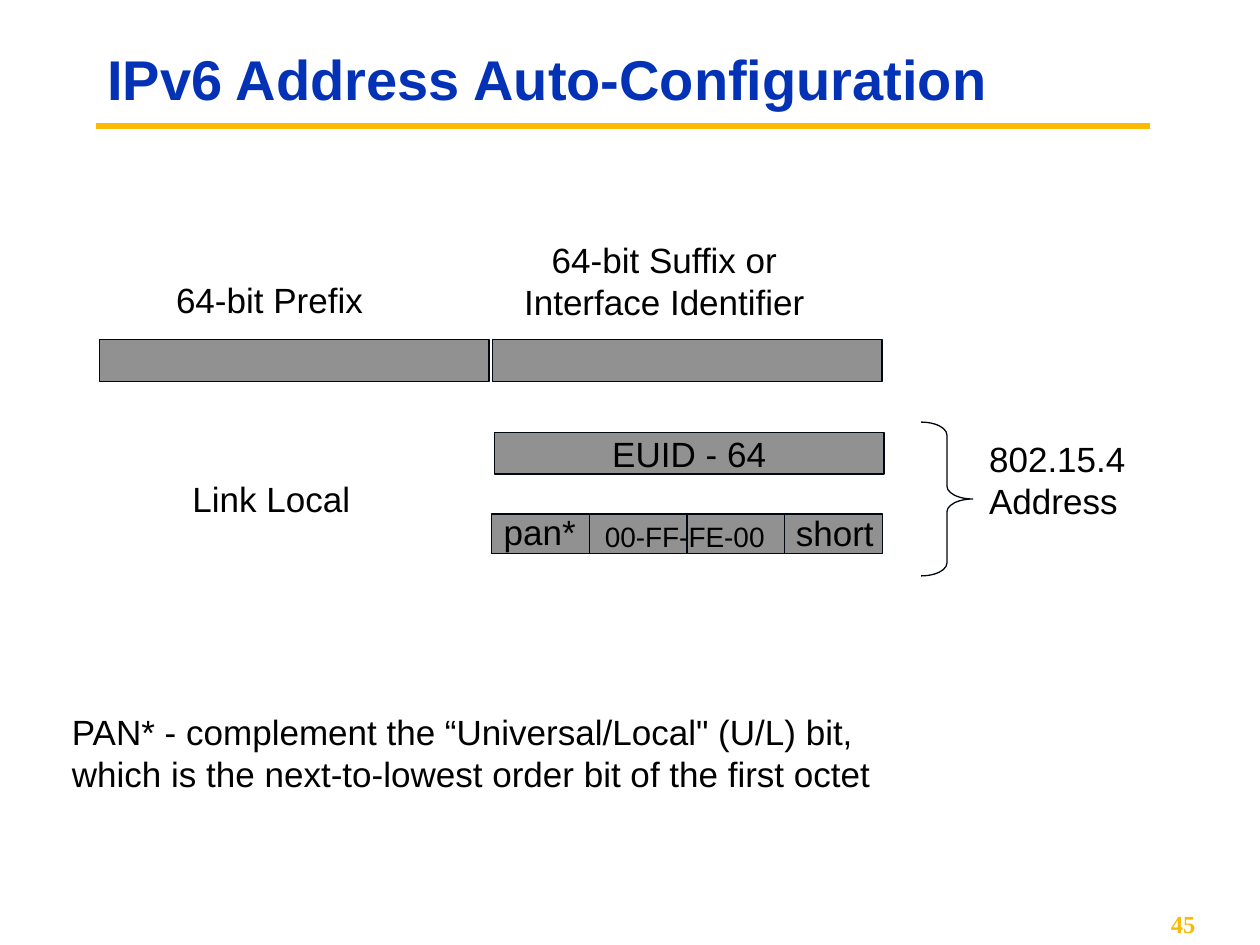
import dataclasses

import lxml.etree
import pptx
import pptx.dml.color
import pptx.enum.shapes
import pptx.enum.text
import pptx.oxml.ns
import pptx.util

Cm = pptx.util.Cm
Align = pptx.enum.text.PP_ALIGN
Anchor = pptx.enum.text.MSO_ANCHOR
AutoSize = pptx.enum.text.MSO_AUTO_SIZE
Shape = pptx.enum.shapes.MSO_SHAPE

BLACK, INK, GREY, BLUE, GOLD = "000000", "000710", "919191", "0332B7", "FBBA03"


@dataclasses.dataclass
class Box:
    """Place of an element, in centimetres."""
    left: float
    top: float
    width: float
    height: float

    def lengths(self) -> list:
        return [Cm(value) for value in (self.left, self.top, self.width, self.height)]


@dataclasses.dataclass
class Label:
    box: Box
    lines: list[str]
    align: Align = Align.CENTER
    size: int = 20


def set_color(color_format, value: str) -> None:
    color_format.rgb = pptx.dml.color.RGBColor.from_string(value)


def write_lines(frame, lines: list[str], align: Align, size: float = 20,
                name: str = "Arial", color: str = BLACK, bold: bool = False) -> None:
    font_format = {"name": name, "size": pptx.util.Pt(size), "bold": bold}
    for index, line in enumerate(lines):
        paragraph = frame.add_paragraph() if index else frame.paragraphs[0]
        paragraph.alignment = align
        run = paragraph.add_run()
        run.text = line
        for attribute, value in font_format.items():
            setattr(run.font, attribute, value)
        set_color(run.font.color, color)


def outline(shape) -> None:
    shape.shadow.inherit = False
    shape.line.width = pptx.util.Pt(0.75)
    set_color(shape.line.color, INK)


def add_bar(slide, box: Box):
    bar = slide.shapes.add_shape(Shape.RECTANGLE, *box.lengths())
    outline(bar)
    bar.fill.solid()
    set_color(bar.fill.fore_color, GREY)
    return bar


def add_label(slide, label: Label) -> None:
    frame = slide.shapes.add_textbox(*label.box.lengths()).text_frame
    frame.word_wrap = False
    frame.auto_size = AutoSize.SHAPE_TO_FIT_TEXT
    write_lines(frame, label.lines, label.align, label.size)


def add_title(slide, text: str, box: Box) -> None:
    title = slide.shapes.title
    for side, value in zip(("left", "top", "width", "height"), box.lengths()):
        setattr(title, side, value)
    frame = title.text_frame
    frame.auto_size = AutoSize.NONE
    frame.vertical_anchor = Anchor.MIDDLE
    write_lines(frame, [text], Align.LEFT, 32, color=BLUE, bold=True)
    frame.paragraphs[0].line_spacing = 0.9


def add_rule(slide, left: float, right: float, top: float) -> None:
    rule = slide.shapes.add_connector(
        pptx.enum.shapes.MSO_CONNECTOR.STRAIGHT, Cm(left), Cm(top), Cm(right), Cm(top))
    rule.line.width = pptx.util.Pt(3.75)
    set_color(rule.line.color, GOLD)
    properties = rule.element.find(pptx.oxml.ns.qn("p:spPr"))
    lxml.etree.SubElement(properties, pptx.oxml.ns.qn("a:effectLst"))


BAR_WIDTH, BAR_HEIGHT = 7.85, 0.84
CELL_LEFT, CELL_TOP, CELL_PITCH = 9.91, 10.36, 1.97

# Boxes are slightly wider than their text, so that no line breaks
LABELS = [
    Label(Box(3.2, 5.49, 4.47, 1.12), ["64-bit Prefix"]),
    Label(Box(10.21, 4.68, 6.37, 1.96), ["64-bit Suffix or", "Interface Identifier"]),
    Label(Box(11.84, 10.34, 3.93, 0.94), ["00-FF-FE-00"], size=16),
    Label(Box(9.8, 10.16, 2.16, 1.12), ["pan*"]),
    Label(Box(15.69, 10.19, 2.28, 1.12), ["short"]),
    Label(Box(1.2, 14.2, 17.2, 1.96),
          ["PAN* - complement the “Universal/Local\" (U/L) bit,",
           "which is the next-to-lowest order bit of the first octet"], Align.LEFT),
    Label(Box(19.69, 8.69, 3.6, 1.96), ["802.15.4", "Address"], Align.LEFT),
    Label(Box(3.53, 9.5, 3.88, 1.12), ["Link Local"]),
]


def main() -> None:
    presentation = pptx.Presentation()
    presentation.slide_width, presentation.slide_height = Cm(25.4), Cm(19.05)
    slide = presentation.slides.add_slide(presentation.slide_layouts[5])

    # Heading
    add_rule(slide, 1.93, 23.19, 2.54)
    add_title(slide, "IPv6 Address Auto-Configuration", Box(1.91, 0.64, 21.39, 2.06))

    # Address halves
    for left in (2.01, 9.93):
        add_bar(slide, Box(left, 6.85, BAR_WIDTH, BAR_HEIGHT))

    # Long identifier
    identifier = add_bar(slide, Box(9.97, 8.72, BAR_WIDTH, BAR_HEIGHT)).text_frame
    identifier.word_wrap = False
    identifier.vertical_anchor = Anchor.MIDDLE
    write_lines(identifier, ["EUID - 64"], Align.CENTER)

    # Short identifier, four cells
    for index in range(4):
        add_bar(slide, Box(CELL_LEFT + index * CELL_PITCH, CELL_TOP, CELL_PITCH, 0.8))

    # Brace around both identifiers
    brace = slide.shapes.add_shape(Shape.RIGHT_BRACE, *Box(18.57, 8.51, 1.04, 3.1).lengths())
    outline(brace)
    brace.fill.background()
    brace.adjustments[0] = 0.25

    for label in LABELS:
        add_label(slide, label)

    # Page number
    number = slide.shapes.add_textbox(*Box(20.74, 18.21, 3.61, 0.84).lengths()).text_frame
    number.word_wrap = True
    number.vertical_anchor = Anchor.MIDDLE
    write_lines(number, ["45"], Align.RIGHT, 14, "Times New Roman", GOLD, True)

    presentation.save("out.pptx")


if __name__ == "__main__":
    main()
